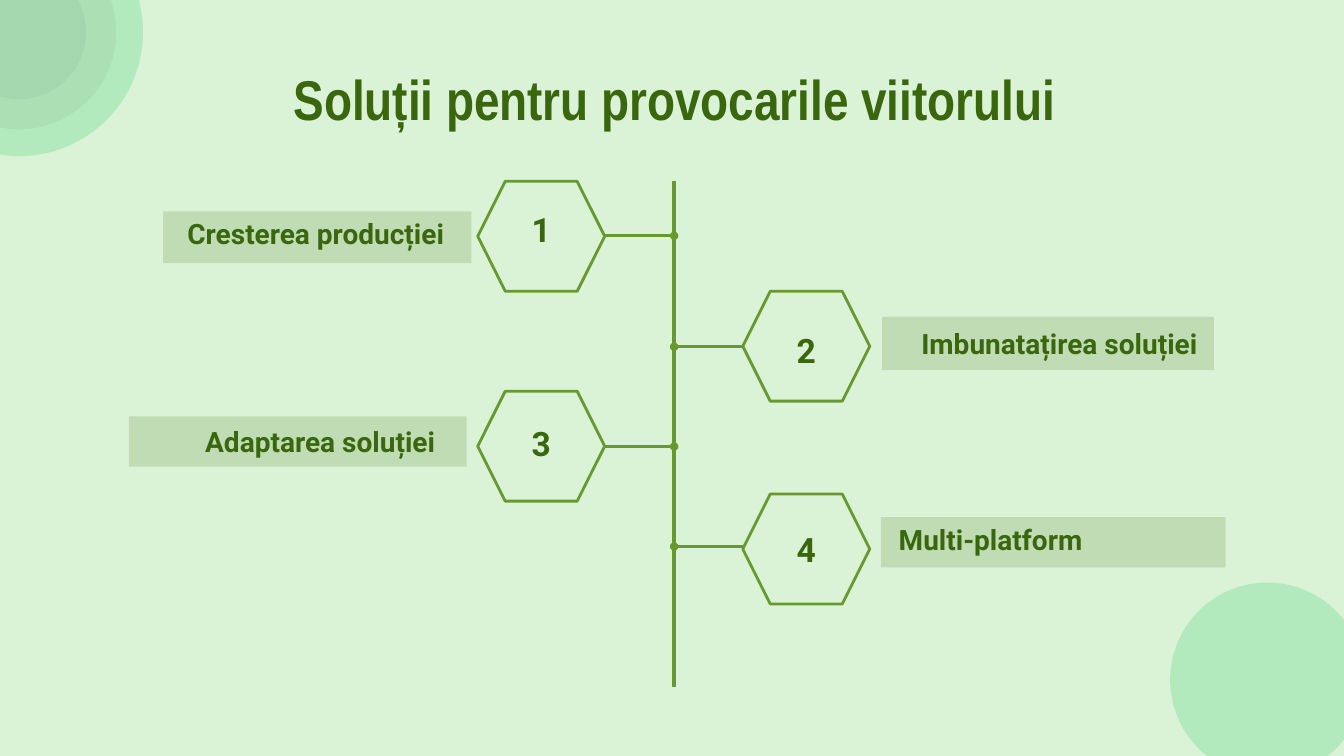
from collections import namedtuple

from lxml import etree
from pptx import Presentation
from pptx.dml.color import RGBColor
from pptx.enum.shapes import MSO_CONNECTOR, MSO_SHAPE
from pptx.enum.text import MSO_ANCHOR, PP_ALIGN
from pptx.oxml.ns import qn
from pptx.util import Cm, Pt

COLORS = {"page": "DAF3D6", "mint": "B3EABD", "shade": "000000",
          "ink": "3A660E", "stroke": "689930"}
OVAL, RECT, HEXAGON = MSO_SHAPE.OVAL, MSO_SHAPE.RECTANGLE, MSO_SHAPE.HEXAGON
STRAIGHT = MSO_CONNECTOR.STRAIGHT
LEFT, CENTER, RIGHT = PP_ALIGN.LEFT, PP_ALIGN.CENTER, PP_ALIGN.RIGHT
MIDDLE = MSO_ANCHOR.MIDDLE
TITLE_ONLY = 5

SPINE_X = 16.99
HEX_W, HEX_H = 3.2, 2.77
HEX_LEFT = {"left": 12.04, "right": 18.72}
NUMBER_W, NUMBER_H = 2.64, 1.27
LABEL_H = 1.12

Step = namedtuple("Step", "side hex_top number_dy joint_y bar label align text")
STEPS = [
    Step("left", 4.57, 0.58, 5.94, (4.11, 5.33, 7.77, 1.3),
         (-0.33, 0, 8.36), CENTER, "Cresterea producției"),
    Step("right", 7.34, 0.84, 8.74, (22.23, 7.98, 8.36, 1.35),
         (0.33, 0.12, 8.28), CENTER, "Imbunatațirea soluției"),
    Step("left", 9.86, 0.66, 11.25, (3.25, 10.49, 8.51, 1.27),
         (-0.46, 0.08, 8.43), RIGHT, "Adaptarea soluției"),
    Step("right", 12.45, 0.76, 13.77, (22.2, 13.03, 8.69, 1.27),
         (0.2, 0, 8.48), LEFT, "Multi-platform"),
]


def rgb(name):
    """Return the named palette colour."""
    return RGBColor.from_string(COLORS[name])


def add_figure(slide, preset, box, fill=None, opacity=100, outline=None):
    """Draw a preset shape in a box, filled, outlined or both."""
    figure = slide.shapes.add_shape(preset, *map(Cm, box))
    figure.shadow.inherit = False
    if fill:
        figure.fill.solid()
        figure.fill.fore_color.rgb = rgb(fill)
        if opacity < 100:
            color = figure.fill._xPr.find(qn("a:solidFill"))[0]
            etree.SubElement(color, qn("a:alpha"), val=str(opacity * 1000))
    else:
        figure.fill.background()
    if outline:
        figure.line.color.rgb = rgb(outline)
        figure.line.width = Pt(2)
    else:
        figure.line.fill.background()


def add_stroke(slide, start, end, width, dotted_start=False):
    """Draw a straight line, with a dot at its start if asked."""
    stroke = slide.shapes.add_connector(STRAIGHT, *map(Cm, start + end))
    stroke.line.color.rgb = rgb("stroke")
    stroke.line.width = Pt(width)
    if dotted_start:
        etree.SubElement(stroke.line._get_or_add_ln(), qn("a:headEnd"), type="oval")
    etree.SubElement(stroke._element.spPr, qn("a:effectLst"))


def write(frame, text, font, size, align):
    """Set one bold line of text in a frame."""
    frame.word_wrap = True
    frame.text = text
    line = frame.paragraphs[0]
    line.alignment = align
    style = line.runs[0].font
    style.name, style.size, style.bold = font, Pt(size), True
    style.color.rgb = rgb("ink")


def add_caption(slide, box, text, size, align):
    """Place a text box with one line of Roboto."""
    caption = slide.shapes.add_textbox(*map(Cm, box))
    write(caption.text_frame, text, "Roboto", size, align)


def add_circles(slide, center, discs):
    """Draw concentric discs of (diameter, fill, opacity) around a centre."""
    x, y = center
    for diameter, fill, opacity in discs:
        box = (x - diameter / 2, y - diameter / 2, diameter, diameter)
        add_figure(slide, OVAL, box, fill, opacity)


def add_title(slide, box):
    """Place the slide title in a box."""
    title = slide.shapes.title
    title.left, title.top, title.width, title.height = map(Cm, box)
    write(title.text_frame, "Soluții pentru provocarile viitorului",
          "Arial Narrow", 40, CENTER)
    title.text_frame.vertical_anchor = MIDDLE
    title.text_frame.paragraphs[0].line_spacing = 0.9


def add_step(slide, number, step):
    """Draw one branch: bar, label, numbered hexagon and link to the spine."""
    bar_left, bar_top = step.bar[:2]
    dx, dy, label_width = step.label
    add_figure(slide, RECT, step.bar, "ink", 16)
    add_caption(slide, (bar_left + dx, bar_top + dy, label_width, LABEL_H),
                step.text, 20, step.align)

    hex_left = HEX_LEFT[step.side]
    add_caption(slide, (hex_left + (HEX_W - NUMBER_W) / 2,
                        step.hex_top + step.number_dy, NUMBER_W, NUMBER_H),
                str(number), 24, CENTER)
    add_figure(slide, HEXAGON, (hex_left, step.hex_top, HEX_W, HEX_H),
               outline="stroke")

    inner_x = hex_left + HEX_W if step.side == "left" else hex_left
    add_stroke(slide, (SPINE_X, step.joint_y), (inner_x, step.joint_y), 2, True)


def add_timeline(slide, top, bottom):
    """Draw the spine and its numbered branches."""
    add_stroke(slide, (SPINE_X, top), (SPINE_X, bottom), 3)
    for number, step in enumerate(STEPS, 1):
        add_step(slide, number, step)


def main():
    """Build and save the slide."""
    deck = Presentation()
    deck.slide_width, deck.slide_height = Cm(33.87), Cm(19.05)
    slide = deck.slides.add_slide(deck.slide_layouts[TITLE_ONLY])
    slide.background.fill.solid()
    slide.background.fill.fore_color.rgb = rgb("page")
    add_circles(slide, (31.94, 17.13), [(4.9, "mint", 100)])
    add_circles(slide, (0.48, 0.81), [(6.25, "mint", 100), (4.9, "shade", 4),
                                      (3.38, "shade", 4)])
    add_title(slide, (1.85, 1.52, 30.3, 2.13))
    add_timeline(slide, 4.55, 17.32)
    deck.save("out.pptx")


if __name__ == "__main__":
    main()
